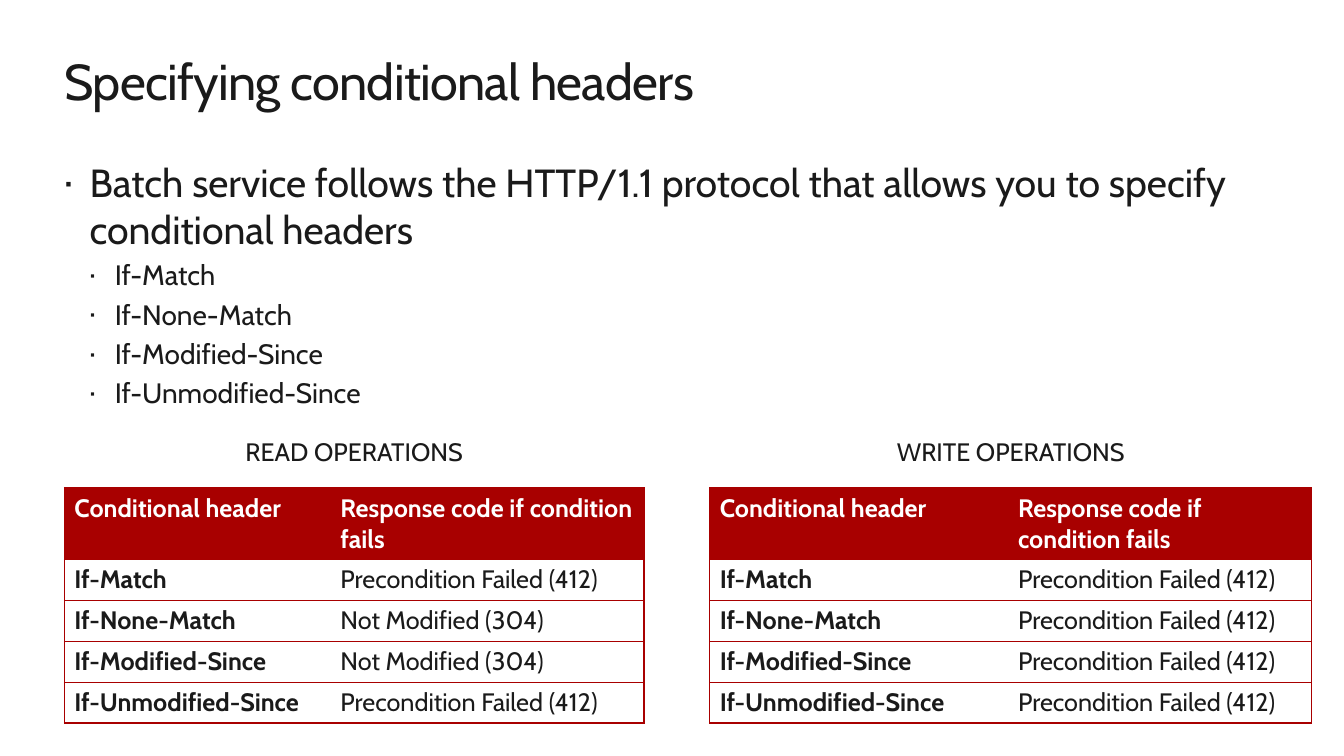
import pptx
import pptx.dml.color
import pptx.enum.text
import pptx.oxml
import pptx.oxml.ns
import pptx.util

Pt = pptx.util.Pt
RGBColor = pptx.dml.color.RGBColor
PP_ALIGN = pptx.enum.text.PP_ALIGN
qn = pptx.oxml.ns.qn

TITLE = "Specifying conditional headers"
BULLETS = [
    (0, "Batch service follows the HTTP/1.1 protocol that allows you to specify conditional headers"),
    (1, "If-Match"),
    (1, "If-None-Match"),
    (1, "If-Modified-Since"),
    (1, "If-Unmodified-Since"),
]
HEADINGS = ("Conditional header", "Response code if condition fails")
FAILED = "Precondition Failed (412)"
NOT_MODIFIED = "Not Modified (304)"
OPERATIONS = [
    {"caption": "READ OPERATIONS", "left": 46, "columns": (190, 224),
     "responses": (FAILED, NOT_MODIFIED, NOT_MODIFIED, FAILED)},
    {"caption": "WRITE OPERATIONS", "left": 507, "columns": (213, 217),
     "responses": (FAILED, FAILED, FAILED, FAILED)},
]

FONT = "Cabin"
INK = RGBColor(0x1A, 0x1A, 0x1A)
RED = RGBColor(0xA8, 0x00, 0x00)
WHITE = RGBColor(0xFF, 0xFF, 0xFF)
NO_TABLE_STYLE = "{2D5ABB26-0587-4C30-8999-92F81FD0307C}"

MARGIN, CONTENT_WIDTH = 46, 868
BULLET_SIZES = (28, 20)
BULLET_INDENT = 18
CAPTION_TOP, CAPTION_WIDTH, CAPTION_HEIGHT = 312, 228, 22
TABLE_TOP, HEADING_HEIGHT, ROW_HEIGHT = 348.5, 51, 29.2


def write(paragraph, text, size=18, color=INK, bold=False, align=PP_ALIGN.LEFT):
    run = paragraph.add_run()
    run.text = text
    paragraph.alignment = align
    font = run.font
    font.name, font.size, font.bold = FONT, Pt(size), bold
    font.color.rgb = color
    return run


def place(shape, left, top, width, height):
    shape.left, shape.top = Pt(left), Pt(top)
    shape.width, shape.height = Pt(width), Pt(height)


def prepare_frame(shape):
    """Remove insets and autofit, wrap the text and anchor it at the top."""
    frame = shape.text_frame
    frame.margin_left = frame.margin_right = frame.margin_top = frame.margin_bottom = 0
    frame.word_wrap = True
    frame.auto_size = pptx.enum.text.MSO_AUTO_SIZE.NONE
    frame.vertical_anchor = pptx.enum.text.MSO_ANCHOR.TOP
    return frame


def add_bullet(paragraph, level):
    properties = paragraph._p.get_or_add_pPr()
    properties.set("marL", str(Pt(BULLET_INDENT * (level + 1))))
    properties.set("indent", str(-Pt(BULLET_INDENT)))
    for tag, attribute, value in (("a:buSzPct", "val", "90000"),
                                  ("a:buFont", "typeface", FONT),
                                  ("a:buChar", "char", "·")):
        pptx.oxml.ns.qn(tag)
        element = properties.makeelement(qn(tag), {attribute: value})
        properties.append(element)


def add_borders(cell, sides):
    properties = cell._tc.get_or_add_tcPr()
    for side in sides:
        properties.append(pptx.oxml.parse_xml(
            f'<a:ln{side} {pptx.oxml.ns.nsdecls("a")} w="{Pt(1)}">'
            f'<a:solidFill><a:srgbClr val="{RED}"/></a:solidFill></a:ln{side}>'))


def add_operation(slide, caption, left, columns, responses):
    width = sum(columns)
    box = slide.shapes.add_textbox(
        Pt(left + (width - CAPTION_WIDTH) / 2), Pt(CAPTION_TOP),
        Pt(CAPTION_WIDTH), Pt(CAPTION_HEIGHT))
    write(prepare_frame(box).paragraphs[0], caption, align=PP_ALIGN.CENTER)

    headers = [text for level, text in BULLETS if level == 1]
    rows = [HEADINGS, *zip(headers, responses)]
    height = HEADING_HEIGHT + ROW_HEIGHT * len(headers)
    table = slide.shapes.add_table(
        len(rows), len(columns), Pt(left), Pt(TABLE_TOP), Pt(width), Pt(height)).table
    table.horz_banding = False
    table._tbl.tblPr.find(qn("a:tableStyleId")).text = NO_TABLE_STYLE
    for column, column_width in zip(table.columns, columns):
        column.width = Pt(column_width)
    for row_index, row in enumerate(rows):
        heading = row_index == 0
        table.rows[row_index].height = Pt(HEADING_HEIGHT if heading else ROW_HEIGHT)
        for column_index, text in enumerate(row):
            cell = table.cell(row_index, column_index)
            add_borders(cell, "LTB" if column_index == 0 else "RTB")
            if heading:
                cell.fill.solid()
                cell.fill.fore_color.rgb = RED
            else:
                cell.fill.background()
            write(cell.text_frame.paragraphs[0], text,
                  color=WHITE if heading else INK, bold=heading or column_index == 0)


def main():
    presentation = pptx.Presentation()
    presentation.slide_width, presentation.slide_height = Pt(960), Pt(540)
    slide = presentation.slides.add_slide(presentation.slide_layouts[1])

    title = slide.shapes.title
    place(title, MARGIN, 36, CONTENT_WIDTH, 44)
    title_run = write(prepare_frame(title).paragraphs[0], TITLE, size=36)
    title_run._r.get_or_add_rPr().set("spc", "-50")

    body = slide.placeholders[1]
    place(body, MARGIN, 113, CONTENT_WIDTH, 184)
    frame = prepare_frame(body)
    for index, (level, text) in enumerate(BULLETS):
        paragraph = frame.add_paragraph() if index else frame.paragraphs[0]
        paragraph.level = level
        paragraph.space_before = Pt(4 if index else 0)
        add_bullet(paragraph, level)
        write(paragraph, text, size=BULLET_SIZES[level])

    for operation in OPERATIONS:
        add_operation(slide, **operation)
    presentation.save("out.pptx")


if __name__ == "__main__":
    main()
